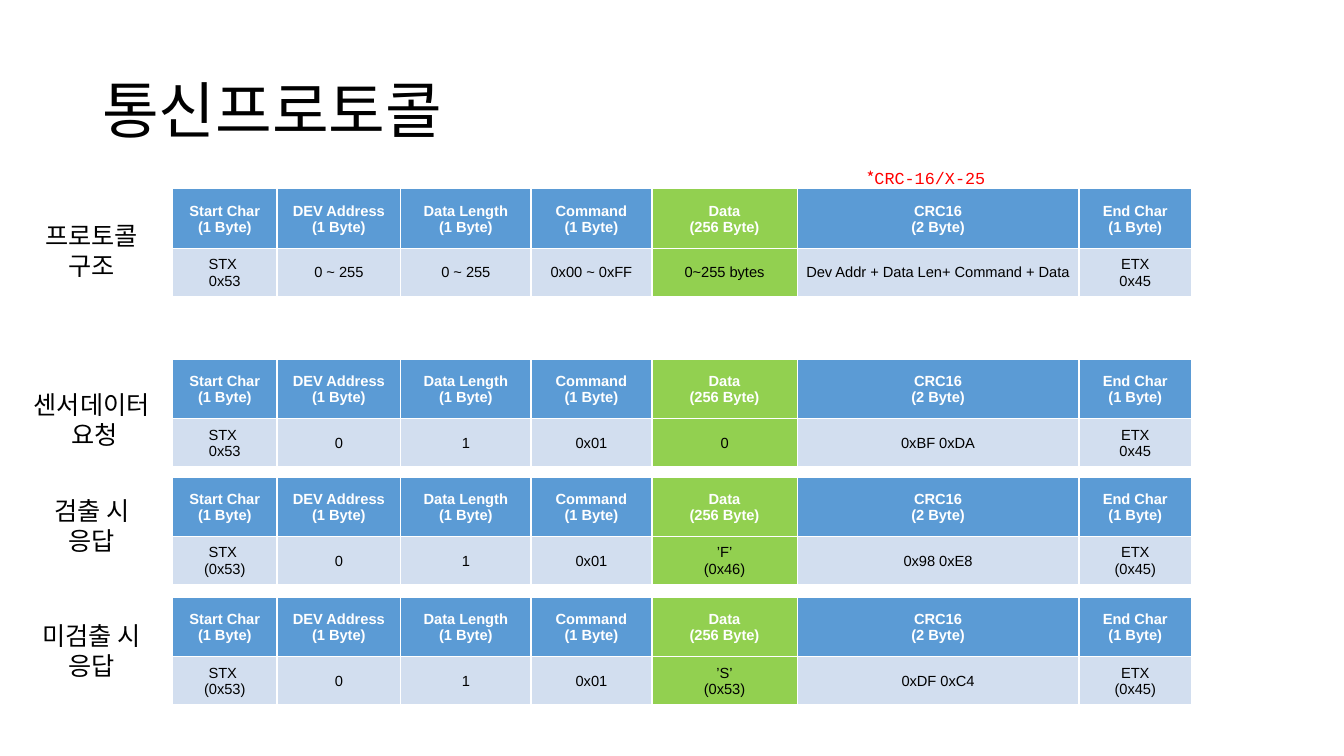
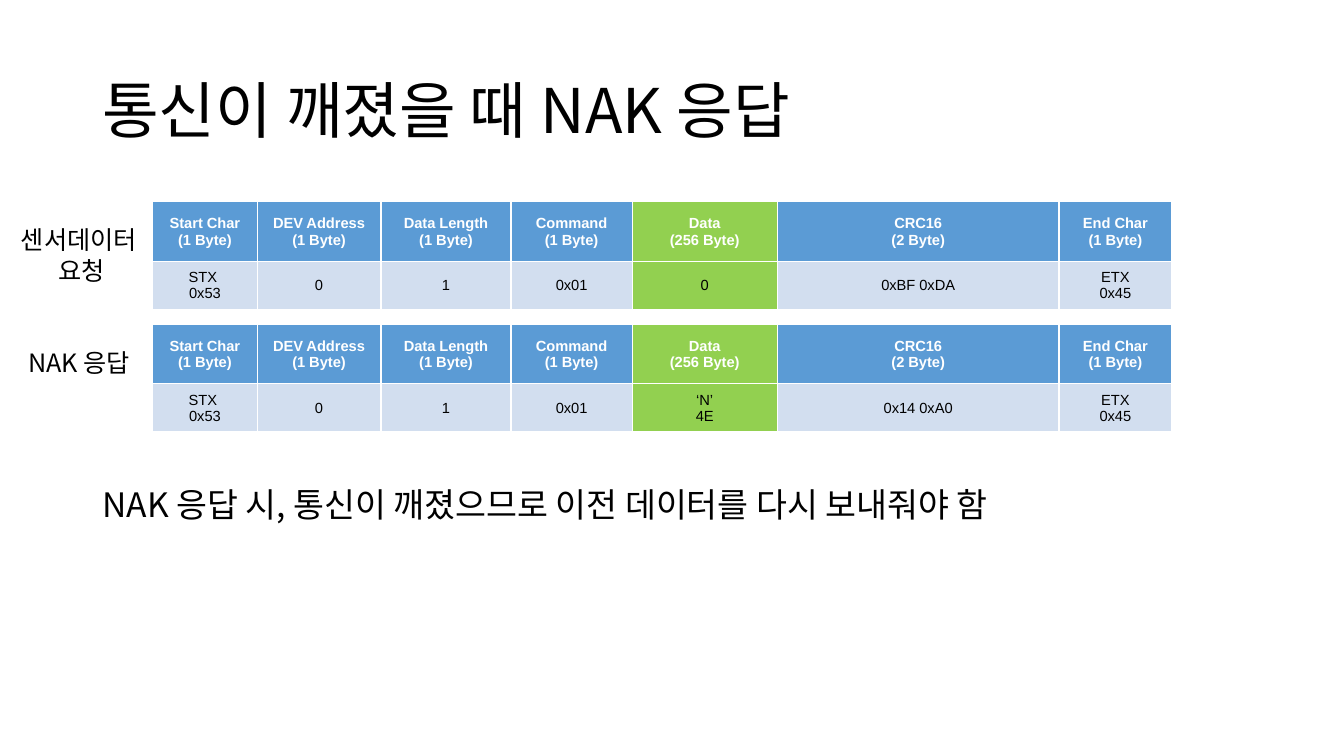
from dataclasses import dataclass

from lxml import etree
from pptx import Presentation
from pptx import util as u
from pptx.dml.color import RGBColor
from pptx.enum import text
from pptx.oxml import ns


@dataclass(frozen=True)
class Theme:
    black: str = "000000"
    white: str = "FFFFFF"
    red: str = "FF0000"
    header: str = "5B9BD5"
    body: str = "D2DEEF"
    data: str = "92D050"
    korean: str = "Noto Sans CJK KR"
    latin: str = "Arial"
    mono: str = "Courier New"
    title_size: float = 44
    remark_size: float = 24
    label_size: float = 18
    note_size: float = 12
    cell_size: float = 10.5


THEME = Theme()
COLUMNS = (2.63, 3.12, 3.28, 3.05, 3.66, 7.1, 2.84)
ROWS = (1.5, 1.21)
DATA_COLUMN = 4
HEADERS = (
    "Start Char\v(1 Byte)",
    "DEV Address\v(1 Byte)",
    "Data Length\v(1 Byte)",
    "Command\v(1 Byte)",
    "Data\v(256 Byte)",
    "CRC16\v(2 Byte)",
    "End Char\v(1 Byte)",
)
STX, ETX = "STX \v0x53", "ETX\v0x45"
STX_REPLY, ETX_REPLY = "STX \v(0x53)", "ETX\v(0x45)"
REQUEST_LABEL = "센서데이터\n 요청"
REQUEST = (STX, "0", "1", "0x01", "0", "0xBF 0xDA", ETX)


def style(para, size, color, name, bold=False, align=None):
    font = para.font
    font.size = u.Pt(size)
    font.bold = bold
    font.color.rgb = RGBColor.from_string(color)
    font.name = name
    properties = para._p.get_or_add_pPr().get_or_add_defRPr()
    etree.SubElement(properties, ns.qn("a:ea")).set("typeface", name)
    para.alignment = align


def add_text(page, box, words, size, align=None, wrap=True, anchor=text.MSO_ANCHOR.MIDDLE):
    frame = page.shapes.add_textbox(*map(u.Cm, box)).text_frame
    frame.word_wrap = wrap
    frame.vertical_anchor = anchor
    frame.text = words
    for para in frame.paragraphs:
        style(para, size, THEME.black, THEME.korean, align=align)
    return frame


def add_title(page, words):
    frame = add_text(page, (2.33, 1.01, 29.21, 3.68), words, THEME.title_size)
    frame.paragraphs[0].line_spacing = 0.9


def add_label(page, center, top, words):
    width = 3.7
    add_text(page, (center - width / 2, top, width, 1.8), words, THEME.label_size,
             text.PP_ALIGN.CENTER, False, text.MSO_ANCHOR.TOP)


def add_crc_note(page, left, top):
    frame = page.shapes.add_textbox(*map(u.Cm, (left, top, 3.53, 0.76))).text_frame
    frame.word_wrap = False
    para = frame.paragraphs[0]
    style(para, THEME.note_size, THEME.red, THEME.korean)
    for words, name in (("*", THEME.korean), ("CRC-16/X-25", THEME.mono)):
        span = para.add_run()
        span.text = words
        span.font.name = name


def fill_cell(cell, words, fill, color, bold):
    cell.fill.solid()
    cell.fill.fore_color.rgb = RGBColor.from_string(fill)
    cell.vertical_anchor = text.MSO_ANCHOR.MIDDLE
    cell.margin_left = cell.margin_right = cell.margin_top = u.Cm(0.02)
    cell.margin_bottom = 0
    para = cell.text_frame.paragraphs[0]
    para.text = words
    style(para, THEME.cell_size, color, THEME.latin, bold, text.PP_ALIGN.CENTER)


def add_packet(page, left, top, values):
    box = map(u.Cm, (left, top, sum(COLUMNS), sum(ROWS)))
    table = page.shapes.add_table(len(ROWS), len(COLUMNS), *box).table
    table.horz_banding = False
    for column, width in zip(table.columns, COLUMNS):
        column.width = u.Cm(width)
    for row, height in zip(table.rows, ROWS):
        row.height = u.Cm(height)
    looks = ((HEADERS, THEME.header, THEME.white, True),
             (values, THEME.body, THEME.black, False))
    for row, (words, fill, color, bold) in enumerate(looks):
        for column, entry in enumerate(words):
            shade = THEME.data if column == DATA_COLUMN else fill
            fill_cell(table.cell(row, column), entry, shade, color, bold)


def add_messages(page, left, label_gap, messages):
    for top, label_drop, label, values in messages:
        add_packet(page, left, top, values)
        add_label(page, left - label_gap, top + label_drop, label)


def protocol_slide(page):
    left = 4.35
    add_title(page, "통신프로토콜")
    add_messages(page, left, 2.04, (
        (4.76, 0.67, "프로토콜\n구조",
         (STX, "0 ~ 255", "0 ~ 255", "0x00 ~ 0xFF", "0~255 bytes",
          "Dev Addr + Data Len+ Command + Data", ETX)),
        (9.05, 0.63, REQUEST_LABEL, REQUEST),
        (12.02, 0.33, "검출 시\n응답",
         (STX_REPLY, "0", "1", "0x01", "’F’\v(0x46)", "0x98 0xE8", ETX_REPLY)),
        (15.05, 0.45, "미검출 시\n응답",
         (STX_REPLY, "0", "1", "0x01", "’S’\v(0x53)", "0xDF 0xC4", ETX_REPLY)),
    ))
    add_crc_note(page, left + 17.24, 4.09)


def nak_slide(page):
    add_title(page, "통신이 깨졌을 때 NAK 응답")
    add_messages(page, 3.85, 1.86, (
        (5.08, 0.46, REQUEST_LABEL, REQUEST),
        (8.17, 0.46, "NAK 응답",
         (STX, "0", "1", "0x01", "‘N’\v4E", "0x14 0xA0", ETX)),
    ))
    add_text(page, (2.33, 12.1, 29.21, 1.2),
             "NAK 응답 시, 통신이 깨졌으므로 이전 데이터를 다시 보내줘야 함",
             THEME.remark_size)


def main():
    deck = Presentation()
    deck.slide_width, deck.slide_height = u.Cm(33.87), u.Cm(19.05)
    for build in (protocol_slide, nak_slide):
        build(deck.slides.add_slide(deck.slide_layouts[6]))
    deck.save("out.pptx")


if __name__ == "__main__":
    main()
